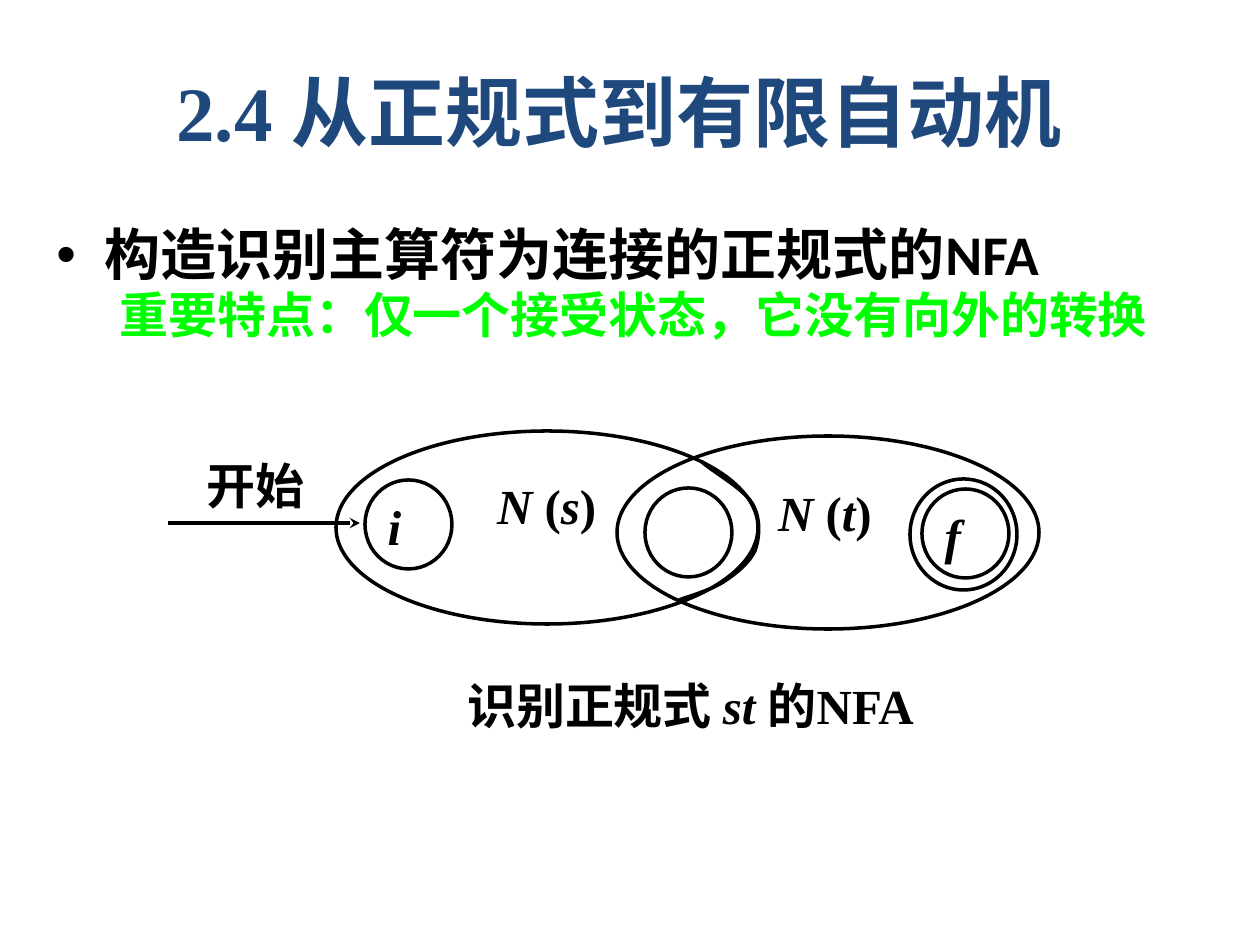
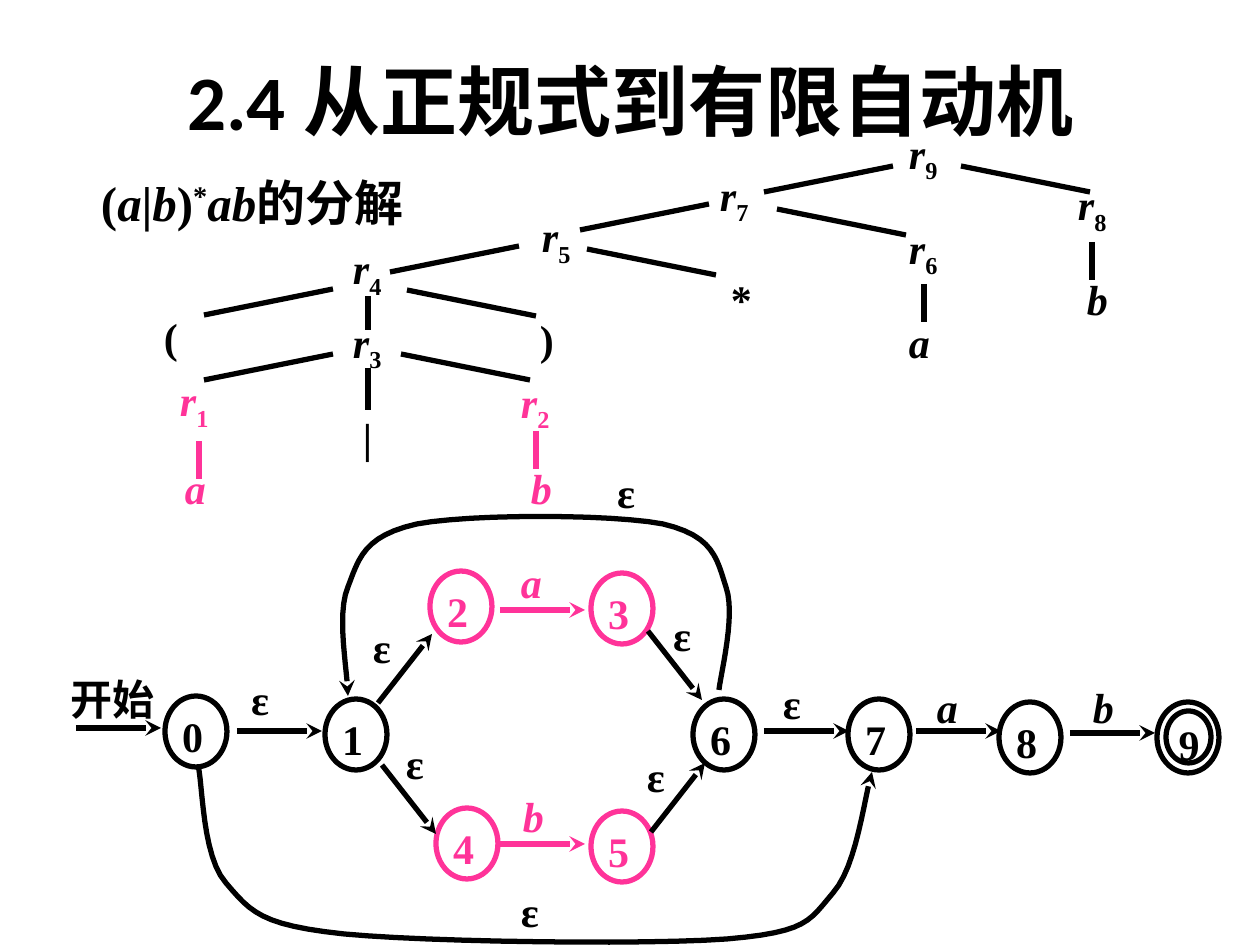
import pptx
import pptx.util
import pptx.dml.color
import pptx.enum.shapes
import pptx.enum.text
import pptx.oxml.ns
from lxml import etree

PX = 914400 / 126
HEX = {"ink": "000000", "navy": "1F497D", "lime": "00FF00", "pink": "FF3399"}
SERIF, SANS, HAN = "Times New Roman", "Calibri", "Noto Sans CJK SC"
TITLE = "2.4 从正规式到有限自动机"
ALIGN = pptx.enum.text.PP_ALIGN
OVAL = pptx.enum.shapes.MSO_SHAPE.OVAL

POINTS = [("构造识别主算符为连接的正规式的NFA", 32, "ink"),
          ("重要特点：仅一个接受状态，它没有向外的转换", 28, "lime")]
CAPTION = [("识别正规式 ", ""), ("st ", "i"), ("的NFA", "")]
PARTS = [(336, 431, "s", 486, 471), (617, 436, "t", 767, 478)]
RINGS = [(365, 480, 87, 89, "i"), (645, 488, 87, 89, ""),
         (910, 479, 107, 111, ""), (922, 489, 87, 89, "f")]
SEAM = [(701, 461), (708, 469), (743, 488), (752, 503), (761, 518), (760, 537),
        (755, 551), (749, 563), (737, 573), (725, 581), (712, 590), (687, 597),
        (679, 600)]

HEADING = [("(", ""), ("a", "i"), ("|", ""), ("b", "i"), (")", ""),
           ("*", "^"), ("ab", "i"), ("的分解", "")]
TREE = [("r9", 903, 126, "ink"), ("r7", 714, 168, "ink"), ("r8", 1072, 178, "ink"),
        ("r5", 536, 210, "ink"), ("r6", 903, 221, "ink"), ("r4", 347, 242, "ink"),
        ("r3", 347, 315, "ink"), ("r2", 515, 375, "pink"), ("r1", 174, 374, "pink"),
        ("*", 725, 273, "ink"), ("(", 158, 311, "ink"), (")", 534, 312, "ink"),
        ("|", 357, 410, "ink"), ("a", 903, 315, "ink"), ("b", 1081, 273, "ink"),
        ("a", 179, 462, "pink"), ("b", 525, 462, "pink")]
LEFT = [(893, 166), (709, 204), (519, 246), (333, 289), (333, 354)]
RIGHT = [(961, 166), (777, 209), (587, 249), (407, 290), (401, 354)]
STEMS = [(368, 296, 34, "ink"), (368, 368, 42, "ink"), (1092, 242, 38, "ink"),
         (924, 284, 38, "ink"), (536, 431, 38, "pink"), (199, 441, 38, "pink")]
STATES = [(165, 696, "ink"), (325, 699, "ink"), (430, 571, "pink"),
          (591, 573, "pink"), (436, 808, "pink"), (591, 811, "pink"),
          (693, 699, "ink"), (848, 699, "ink"), (999, 702, "ink")]
LEVEL = [(76, 728, "ink"), (237, 731, "ink"), (764, 731, "ink"), (916, 731, "ink"),
         (1070, 733, "ink"), (500, 610, "pink"), (500, 844, "pink")]
SLANT = [(378, 703, -69), (651, 832, -69), (648, 631, 69), (382, 765, 69)]
EDGES = [("ε", 243, 669, "ink"), ("ε", 365, 617, "ink"), ("ε", 398, 733, "ink"),
         ("ε", 665, 605, "ink"), ("ε", 639, 746, "ink"), ("ε", 513, 881, "ink"),
         ("ε", 775, 673, "ink"), ("ε", 609, 462, "ink"), ("a", 929, 677, "ink"),
         ("b", 1085, 677, "ink"), ("a", 513, 552, "pink"), ("b", 515, 786, "pink")]
SKIP = [(198, 765), (203, 785), (202, 856), (226, 883), (251, 912), (260, 925),
        (344, 934), (427, 942), (645, 945), (727, 939), (808, 932), (809, 921),
        (833, 893), (857, 866), (864, 798), (872, 772)]
BACK = [(719, 690), (721, 673), (736, 614), (726, 587), (717, 559), (714, 536),
        (663, 524), (611, 514), (470, 514), (417, 524), (364, 536), (359, 558),
        (348, 587), (336, 615), (348, 673), (348, 696)]


def emu(*vals):
    return [round(v * PX) for v in vals]


def rgb(name):
    return pptx.dml.color.RGBColor.from_string(HEX[name])


def child(node, tag, **attrs):
    return etree.SubElement(node, pptx.oxml.ns.qn(tag), **attrs)


def style(run, size, color="ink", face=SERIF, mark=""):
    font = run.font
    font.size, font.bold, font.name = pptx.util.Pt(size), True, face
    font.italic = mark == "i"
    font.color.rgb = rgb(color)
    props = run._r.get_or_add_rPr()
    child(props, "a:ea", typeface=HAN)
    if mark in ("_", "^"):
        props.set("baseline", "-25000" if mark == "_" else "30000")


def write(shape, runs, size, color="ink", pad=(8, 4), align=ALIGN.LEFT):
    frame = shape.text_frame
    frame.word_wrap = True
    frame.vertical_anchor = pptx.enum.text.MSO_ANCHOR.TOP
    frame.margin_left, frame.margin_top = emu(*pad)
    frame.margin_bottom = 0
    frame.margin_right = frame.margin_left if align == ALIGN.CENTER else 0
    para = frame.paragraphs[0]
    para.alignment = align
    for text, mark in runs:
        run = para.add_run()
        run.text = text
        style(run, size, color, SERIF, mark)


def label(slide, box, runs, size, color="ink", pad=(8, 4), align=ALIGN.LEFT):
    write(slide.shapes.add_textbox(*emu(*box)), runs, size, color, pad, align)


def stroke(shape, color, width, arrow=False):
    shape.line.color.rgb = rgb(color)
    shape.line.width = pptx.util.Pt(width)
    if arrow:
        child(shape.line._get_or_add_ln(), "a:tailEnd", type="stealth")


def ring(slide, box, width, color="ink", runs=(), size=24, pad=(8, 4)):
    oval = slide.shapes.add_shape(OVAL, *emu(*box))
    oval.shadow.inherit = False
    oval.fill.background()
    stroke(oval, color, width)
    if runs:
        write(oval, runs, size, color, pad)


def line(slide, x, y, dx, dy, width, color="ink", arrow=False):
    kind = pptx.enum.shapes.MSO_CONNECTOR.STRAIGHT
    link = slide.shapes.add_connector(kind, *emu(x, y, x + dx, y + dy))
    stroke(link, color, width, arrow)
    child(link._element.spPr, "a:effectLst")


def curve(slide, knots, width, arrow=False):
    dots = []
    for k in range(0, len(knots) - 1, 3):
        for step in range(1, 13):
            t = step / 12
            u = 1 - t
            parts = (u ** 3, 3 * u * u * t, 3 * u * t * t, t ** 3)
            dots.append(emu(*(sum(p * knot[axis] for p, knot in zip(parts, knots[k:k + 4]))
                              for axis in (0, 1))))
    pen = slide.shapes.build_freeform(*emu(*knots[0]))
    pen.add_line_segments(dots, close=False)
    shape = pen.convert_to_shape()
    shape.shadow.inherit = False
    shape.fill.background()
    stroke(shape, "ink", width, arrow)


def start(deck, box, color, face):
    slide = deck.slides.add_slide(deck.slide_layouts[5])
    title = slide.shapes.title
    title.left, title.top, title.width, title.height = emu(*box)
    title.text_frame.text = TITLE
    style(title.text_frame.paragraphs[0].runs[0], 44, color, face)
    return slide


def join(deck):
    slide = start(deck, (84, 32, 1071, 158), "navy", SERIF)
    frame = slide.shapes.add_textbox(*emu(44, 221, 1181, 160)).text_frame
    frame.word_wrap = True
    frame.text = "\n".join(text for text, size, color in POINTS)
    head, note = frame.paragraphs
    props = head._p.get_or_add_pPr()
    hang = emu(48)[0]
    props.set("marL", str(hang))
    props.set("indent", str(-hang))
    child(props, "a:buFont", typeface="Arial")
    child(props, "a:buChar", char="•")
    note._p.get_or_add_pPr().set("marL", str(emu(63)[0]))
    note.space_before = pptx.util.Pt(2)
    for para, (text, size, color) in zip(frame.paragraphs, POINTS):
        para.line_spacing = 0.9
        style(para.runs[0], size, color, SANS)

    for x, y, name, left, top in PARTS:
        ring(slide, (x, y, 422, 193), 2)
        runs = [("N ", "i"), ("(", ""), (name, "i"), (")", "")]
        label(slide, (left, top, 146, 107), runs, 28, pad=(11, 4))
    for x, y, wide, high, name in RINGS:
        ring(slide, (x, y, wide, high), 2, runs=[(name, "i")] if name else (),
             size=28, pad=(10, 4))
    curve(slide, SEAM, 2)
    line(slide, 168, 523, 192, 0, 2, arrow=True)
    label(slide, (199, 451, 141, 84), [("开始", "")], 28)
    label(slide, (368, 672, 645, 76), CAPTION, 28, align=ALIGN.CENTER)


def split(deck):
    slide = start(deck, (53, 42, 1155, 116), "ink", SANS)
    label(slide, (42, 168, 420, 84), HEADING, 28, pad=(11, 4), align=ALIGN.CENTER)
    for text, x, y, color in TREE:
        runs = [(text[0], "i" if text[0].isalpha() else "")]
        if len(text) > 1:
            runs.append((text[1], "_"))
        label(slide, (x, y, 74, 47), runs, 24, color, (6, 1))
    for tips, dx in ((LEFT, -129), (RIGHT, 129)):
        for x, y in tips:
            line(slide, x, y, dx, 26, 3)
    for x, y, drop, color in STEMS:
        line(slide, x, y, 0, drop, 3, color)

    for num, (x, y, color) in enumerate(STATES):
        ring(slide, (x, y, 62, 71), 3, color, [(str(num), "")])
    ring(slide, (1157, 702, 62, 71), 3)
    ring(slide, (1166, 711, 45, 52), 3, runs=[("9", "")], pad=(6, 0))
    for x, y, color in LEVEL:
        line(slide, x, y, 85, 0, 3, color, True)
    for x, y, rise in SLANT:
        line(slide, x, y, 54, rise, 3, arrow=True)
    for knots in (SKIP, BACK):
        curve(slide, knots, 3, True)
    for text, x, y, color in EDGES:
        label(slide, (x, y, 54, 57), [(text, "" if text == "ε" else "i")], 24, color)
    label(slide, (63, 669, 100, 67), [("开始", "")], 24)


def main():
    deck = pptx.Presentation()
    deck.slide_width, deck.slide_height = emu(1260, 945)
    join(deck)
    split(deck)
    deck.save("out.pptx")


if __name__ == "__main__":
    main()
